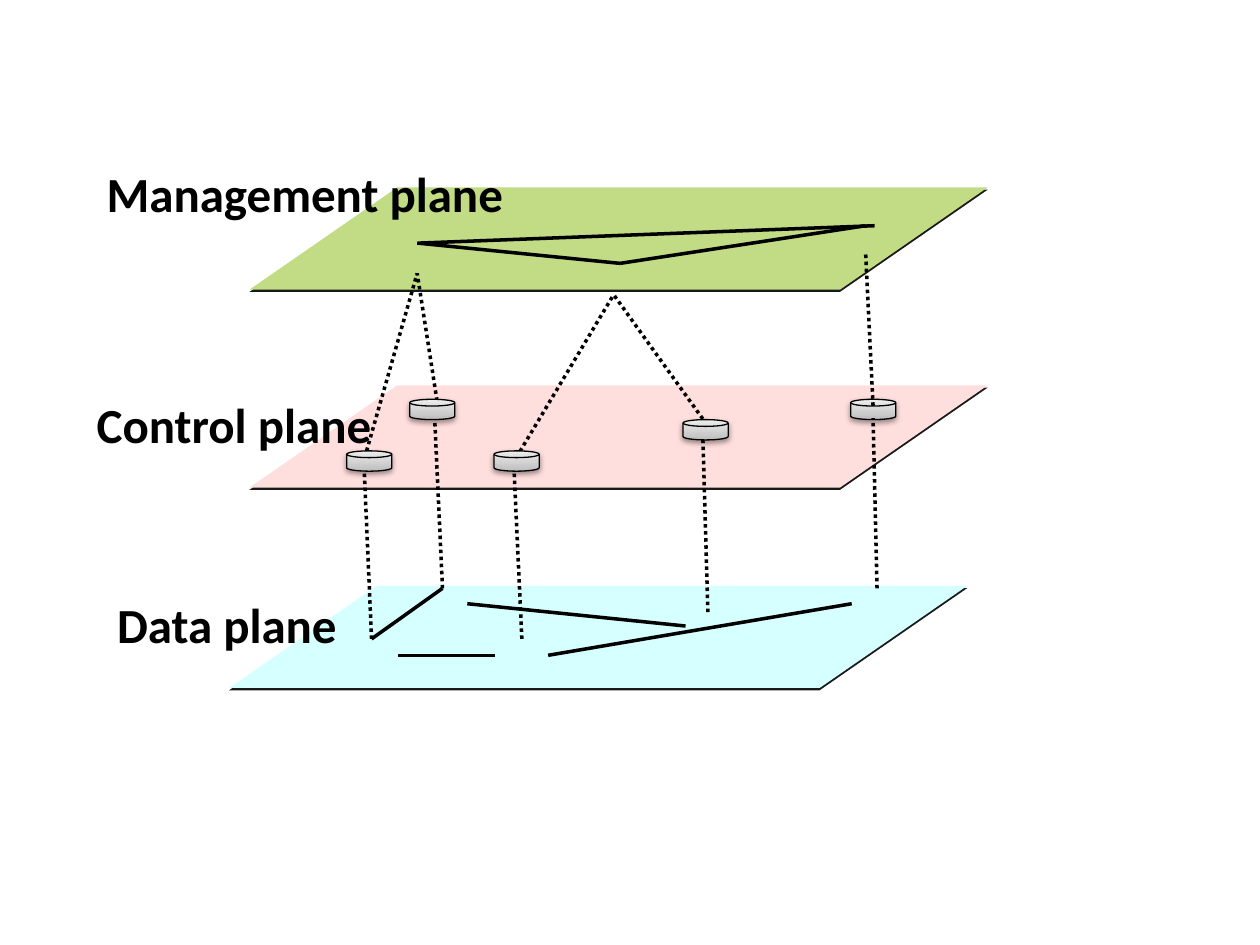
from lxml import etree
from pptx import Presentation
from pptx.dml.color import RGBColor
from pptx.enum.dml import MSO_LINE
from pptx.enum.shapes import MSO_CONNECTOR, MSO_SHAPE
from pptx.enum.text import MSO_AUTO_SIZE
from pptx.oxml.ns import qn
from pptx.util import Cm, Pt

PARALLELOGRAM = MSO_SHAPE.FLOWCHART_DATA
DISK = MSO_SHAPE.FLOWCHART_MAGNETIC_DISK
STRAIGHT = MSO_CONNECTOR.STRAIGHT
DOTTED = MSO_LINE.ROUND_DOT
GROW = MSO_AUTO_SIZE.SHAPE_TO_FIT_TEXT

BLACK = "000000"
PLANE_SIZE = (14.88, 2.06)
DISK_SIZE = (0.91, 0.41)

# left, top, fill
PLANES = [
    (5.03, 7.77, "FFDEDE"),
    (4.62, 11.81, "D6FFFF"),
    (5.03, 3.78, "C1DC85"),
]
# left, top, width, text
LABELS = [
    (2.11, 11.86, 6.78, "Data plane"),
    (1.7, 7.82, 7.82, "Control plane"),
    (1.9, 3.18, 9.55, "Management plane"),
]
RIGHT_DISK = (17.15, 8.05)
OTHER_DISKS = [(13.77, 8.46), (6.99, 9.09), (8.26, 8.05), (9.96, 9.09)]

# Each link is start x, start y, end x, end y
DATA_LINKS = [
    (11.05, 13.21, 17.17, 12.17),
    (9.42, 12.17, 13.82, 12.62),
    (8.92, 11.86, 7.49, 12.88),
    (9.98, 13.21, 8.03, 13.21),
]
DATA_TO_CONTROL = [
    (17.68, 11.86, 17.6, 8.43),
    (14.27, 12.34, 14.17, 8.86),
    (10.52, 12.88, 10.36, 9.42),
    (8.92, 11.86, 8.76, 8.38),
    (7.49, 12.88, 7.34, 9.42),
]
MANAGEMENT_LINKS = [
    (8.41, 4.9, 12.5, 5.31),
    (8.46, 4.9, 17.63, 4.55),
    (12.5, 5.31, 17.45, 4.55),
]
CONTROL_TO_MANAGEMENT = [
    (10.41, 9.22, 12.37, 5.94),
    (14.25, 8.56, 12.37, 5.94),
    (17.6, 8.18, 17.45, 5.11),
    (7.39, 9.09, 8.41, 5.51),
    (8.81, 8.08, 8.41, 5.51),
]


def color(hex_string):
    return RGBColor.from_string(hex_string)


def add_shadow(shape, blur, distance, angle, opacity):
    """Cast an outer shadow; blur and distance in points, opacity in percent."""
    shape.shadow.inherit = False
    effects = shape._element.spPr.find(qn("a:effectLst"))
    shadow = etree.SubElement(
        effects, qn("a:outerShdw"), blurRad=str(Pt(blur)), dist=str(Pt(distance)),
        dir=str(angle * 60000), algn="ctr", rotWithShape="0")
    shade = etree.SubElement(shadow, qn("a:srgbClr"), val=BLACK)
    etree.SubElement(shade, qn("a:alpha"), val=str(opacity * 1000))


def add_plane(page, left, top, fill):
    """Add a slanted sheet whose hard shadow reads as its thin dark edge."""
    plane = page.shapes.add_shape(
        PARALLELOGRAM, Cm(left), Cm(top), *map(Cm, PLANE_SIZE))
    plane.fill.solid()
    plane.fill.fore_color.rgb = color(fill)
    plane.line.fill.background()
    add_shadow(plane, blur=0, distance=1.3, angle=90, opacity=90)


def add_disk(page, left, top):
    disk = page.shapes.add_shape(DISK, Cm(left), Cm(top), *map(Cm, DISK_SIZE))
    disk.fill.gradient()
    disk.fill.gradient_angle = 90
    for stop, shade in zip(disk.fill.gradient_stops, ("BDBDBD", "EEEEEE")):
        stop.color.rgb = color(shade)
    disk.line.color.rgb = color(BLACK)
    disk.line.width = Pt(0.75)
    add_shadow(disk, blur=3.1, distance=1.6, angle=90, opacity=38)


def add_links(page, links, dash=None):
    for ends in links:
        link = page.shapes.add_connector(STRAIGHT, *map(Cm, ends))
        link.line.color.rgb = color(BLACK)
        link.line.width = Pt(2)
        link.line.dash_style = dash
        etree.SubElement(link._element.spPr, qn("a:effectLst"))


def add_label(page, left, top, width, text):
    box = page.shapes.add_textbox(Cm(left), Cm(top), Cm(width), Cm(1.45))
    frame = box.text_frame
    frame.word_wrap = True
    frame.auto_size = GROW
    para = frame.paragraphs[0]
    para.text = text
    para.font.name = "Calibri"
    para.font.size = Pt(28)
    para.font.bold = True
    para.font.color.rgb = color(BLACK)


def main():
    deck = Presentation()
    deck.slide_width, deck.slide_height = Cm(25.4), Cm(19.05)
    page = deck.slides.add_slide(deck.slide_layouts[6])

    for plane in PLANES:
        add_plane(page, *plane)
    add_links(page, DATA_LINKS)
    add_disk(page, *RIGHT_DISK)
    add_links(page, DATA_TO_CONTROL, DOTTED)
    add_links(page, MANAGEMENT_LINKS)
    add_links(page, CONTROL_TO_MANAGEMENT, DOTTED)
    for label in LABELS:
        add_label(page, *label)
    for disk in OTHER_DISKS:
        add_disk(page, *disk)

    deck.save("out.pptx")


if __name__ == "__main__":
    main()
